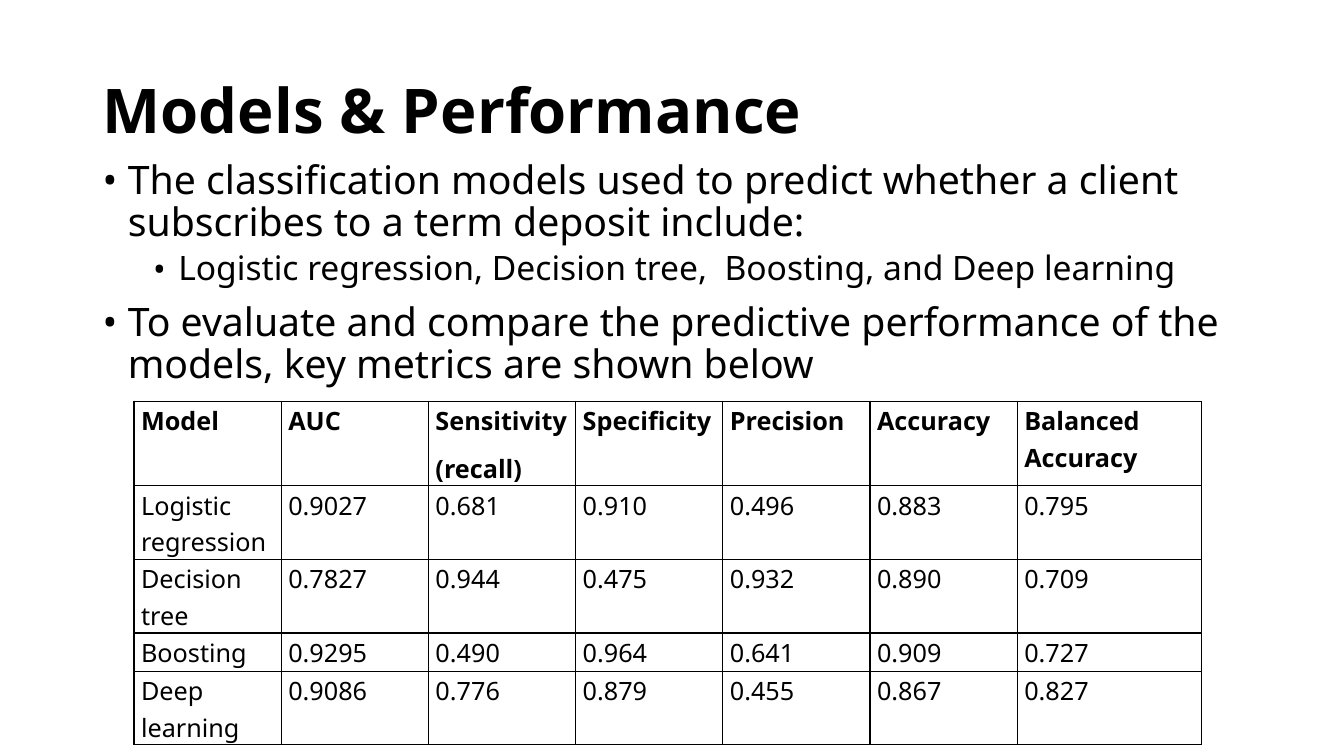
"""Build the slide on models and their performance."""
import pptx
import pptx.util
import pptx.dml.color
import pptx.enum.text
import pptx.oxml
import pptx.oxml.ns
import lxml.etree

Inches, Pt = pptx.util.Inches, pptx.util.Pt
ANCHOR = pptx.enum.text.MSO_ANCHOR
FONT = "Noto Sans"
COLORS = {"ink": "000000", "page": "FFFFFF"}

TITLE = "Models & Performance"
POINTS = [
    (0, "The classification models used to predict whether a client subscribes to a term deposit include:"),
    (1, "Logistic regression, Decision tree,  Boosting, and Deep learning"),
    (0, "To evaluate and compare the predictive performance of the models, key metrics are shown below"),
]
LEVELS = [
    {"size": 28, "before": 10, "left": 0.25},
    {"size": 24, "before": 5, "left": 0.75},
]
ROWS = [
    ("Model", "AUC", "Sensitivity\n(recall)", "Specificity", "Precision", "Accuracy", "Balanced Accuracy"),
    ("Logistic regression", "0.9027", "0.681", "0.910", "0.496", "0.883", "0.795"),
    ("Decision tree", "0.7827", "0.944", "0.475", "0.932", "0.890", "0.709"),
    ("Boosting", "0.9295", "0.490", "0.964", "0.641", "0.909", "0.727"),
    ("Deep learning", "0.9086", "0.776", "0.879", "0.455", "0.867", "0.827"),
]
WIDTHS = [1.46] * 6 + [1.83]
HEIGHTS = [0.84, 0.73, 0.73, 0.38, 0.73]


def color(name):
    return pptx.dml.color.RGBColor.from_string(COLORS[name])


def write(para, text, size, bold=False, line=0.9, before=0, after=0):
    para.line_spacing = line
    para.space_before = Pt(before)
    para.space_after = Pt(after)
    run = para.add_run()
    run.text = text
    run.font.name = FONT
    run.font.size = Pt(size)
    run.font.bold = bold
    run.font.color.rgb = color("ink")


def add_box(slide, left, top, width, height, anchor):
    box = slide.shapes.add_textbox(*map(Inches, (left, top, width, height)))
    frame = box.text_frame
    frame.word_wrap = True
    frame.vertical_anchor = anchor
    return frame


def add_para(frame, index):
    return frame.add_paragraph() if index else frame.paragraphs[0]


def set_bullet(para, level, left):
    para.level = level
    props = para._p.get_or_add_pPr()
    props.set("marL", str(Inches(left)))
    props.set("indent", str(Inches(-0.25)))
    for tag, key, value in (("a:buFont", "typeface", FONT), ("a:buChar", "char", "•")):
        lxml.etree.SubElement(props, pptx.oxml.ns.qn(tag)).set(key, value)


def set_border(cell):
    props = cell._tc.get_or_add_tcPr()
    for spot, side in enumerate(("lnL", "lnR", "lnT", "lnB")):
        edge = pptx.oxml.parse_xml(
            f'<a:{side} {pptx.oxml.ns.nsdecls("a")} w="{Pt(1)}"><a:solidFill>'
            f'<a:srgbClr val="{COLORS["ink"]}"/></a:solidFill></a:{side}>')
        props.insert(spot, edge)


def fill_cell(cell, text, bold):
    cell.fill.background()
    cell.margin_left = cell.margin_right = Inches(0.07)
    cell.margin_top = cell.margin_bottom = 0
    for index, part in enumerate(text.split("\n")):
        write(add_para(cell.text_frame, index), part, 18, bold, line=1.07, after=8)
    set_border(cell)


def add_grid(slide):
    frame = slide.shapes.add_table(
        len(ROWS), len(WIDTHS), Inches(1.33), Inches(3.98),
        Inches(sum(WIDTHS)), Inches(sum(HEIGHTS)))
    table = frame.table
    for column, width in zip(table.columns, WIDTHS):
        column.width = Inches(width)
    for row, height, texts in zip(table.rows, HEIGHTS, ROWS):
        row.height = Inches(height)
        for cell, text in zip(row.cells, texts):
            fill_cell(cell, text, texts is ROWS[0])


def main():
    deck = pptx.Presentation()
    deck.slide_width, deck.slide_height = Inches(13.33), Inches(7.5)
    slide = deck.slides.add_slide(deck.slide_layouts[6])
    slide.background.fill.solid()
    slide.background.fill.fore_color.rgb = color("page")

    title = add_box(slide, 0.92, 0.4, 11.5, 1.45, ANCHOR.MIDDLE)
    write(title.paragraphs[0], TITLE, 44, bold=True)

    body = add_box(slide, 0.92, 1.54, 11.5, 5.72, ANCHOR.TOP)
    for index, (level, text) in enumerate(POINTS):
        look = LEVELS[level]
        para = add_para(body, index)
        write(para, text, look["size"], before=look["before"])
        set_bullet(para, level, look["left"])

    add_grid(slide)
    deck.save("out.pptx")


if __name__ == "__main__":
    main()
